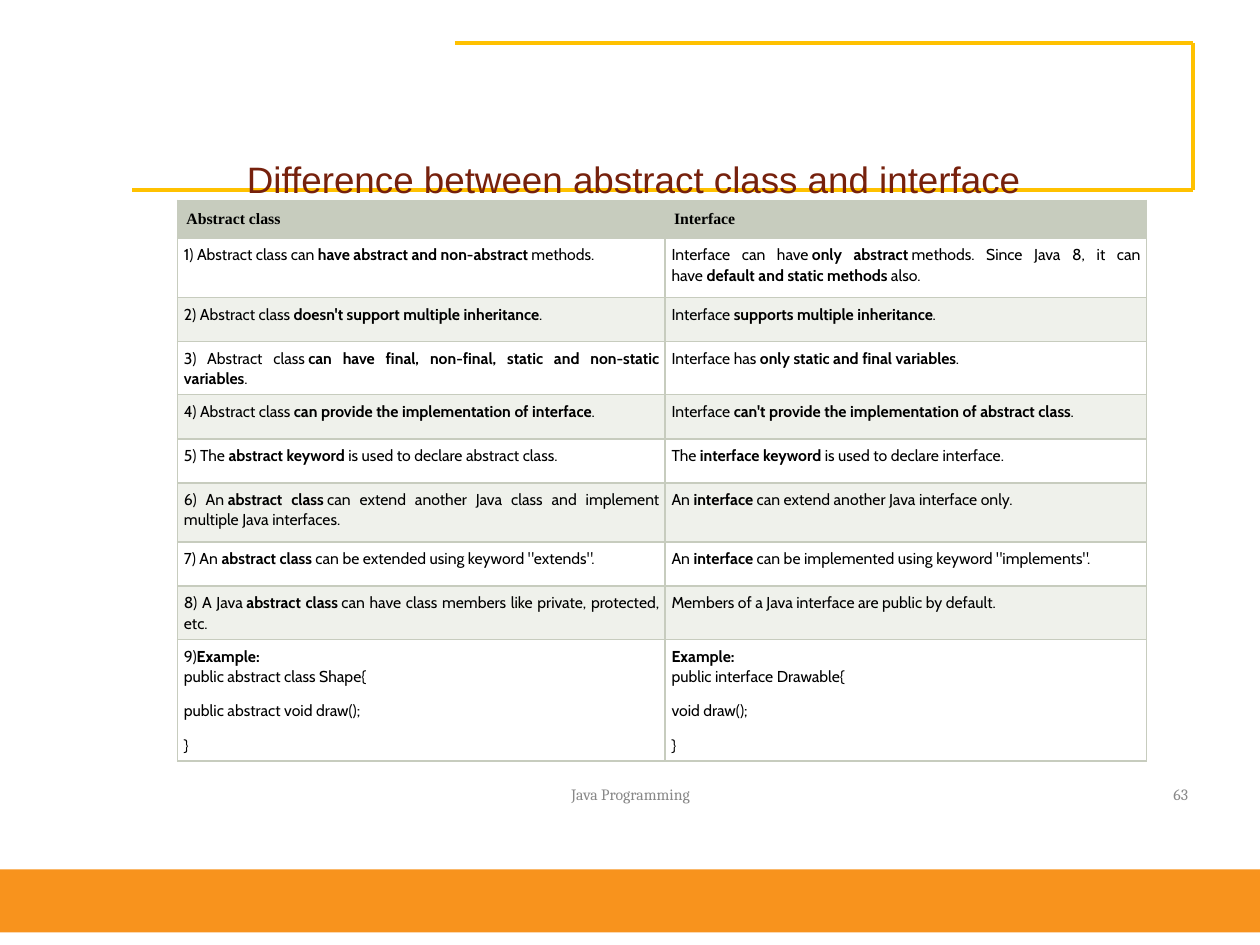
from dataclasses import dataclass

from lxml.etree import SubElement
from pptx import Presentation
from pptx.dml.color import RGBColor
from pptx.enum.shapes import MSO_CONNECTOR, MSO_SHAPE
from pptx.enum.text import MSO_ANCHOR, MSO_AUTO_SIZE, PP_ALIGN
from pptx.oxml.ns import qn
from pptx.util import Inches, Pt


@dataclass(frozen=True)
class Theme:
    gold: str = "FFC100"
    orange: str = "F8931D"
    maroon: str = "76210D"
    grey: str = "888888"
    ink: str = "000000"
    sage: str = "C7CCBE"
    bands: tuple = ("FFFFFF", "EFF1EB")
    title_size: float = 21
    small_size: float = 9
    rule_width: float = 2
    border_width: float = 1
    line_spacing: float = 1.07
    code_gap: float = 8


@dataclass(frozen=True)
class Style:
    font: str
    size: float
    color: str
    bold: bool = False


@dataclass(frozen=True)
class Label:
    text: str
    box: tuple  # left, top, width, height in percent of the slide
    style: Style
    align: PP_ALIGN
    anchor: MSO_ANCHOR
    grows: bool = False


THEME = Theme()
TITLE = Style("Arial", THEME.title_size, THEME.maroon)
FOOTER = Style("Cambria", THEME.small_size, THEME.grey)
HEADING = Style("Times New Roman", THEME.small_size, THEME.ink, True)
BODY = Style("Cabin", THEME.small_size, THEME.ink)

WIDTH, HEIGHT = Inches(10), Inches(7.5)
NBSP = chr(160)

FRAME_CORNERS = [(36.1, 4.53), (94.7, 4.53), (94.7, 20.13), (10.5, 20.13)]
FOOTER_BAND = (0, 92, 100, 6.67)
LABELS = [
    Label("Java Programming", (34.2, 82, 31.7, 4), FOOTER,
          PP_ALIGN.CENTER, MSO_ANCHOR.MIDDLE),
    Label("63", (71.7, 82, 23.3, 4), FOOTER,
          PP_ALIGN.RIGHT, MSO_ANCHOR.MIDDLE),
    Label("Difference between abstract class and interface",
          (18.9, 16, 69, 5.73), TITLE, PP_ALIGN.LEFT, MSO_ANCHOR.TOP, True),
]

TABLE_ORIGIN = (14.1, 21.2)
COLUMN_SHARES = (38.7, 38.2)
HEADER_SHARE, ONE_LINE, TIGHT, TWO_LINES, CODE = 3.87, 4.67, 5.33, 6.27, 11.87
HEADINGS = ("Abstract class", "Interface")

# Asterisks enclose bold words, a bar starts a new paragraph
COMPARISON = [
    (TWO_LINES, "1) Abstract class can *have abstract and non-abstract* methods.",
     "Interface can have *only abstract* methods. Since Java 8, it can have "
     "*default and static methods* also."),
    (ONE_LINE, "2) Abstract class *doesn't support multiple inheritance*.",
     "Interface *supports multiple inheritance*."),
    (TIGHT, "3) Abstract class *can have final, non-final, static and "
     "non-static variables*.",
     "Interface has *only static and final variables*."),
    (ONE_LINE, "4) Abstract class *can provide the implementation of interface*.",
     "Interface *can't provide the implementation of abstract class*."),
    (ONE_LINE, "5) The *abstract keyword* is used to declare abstract class.",
     "The *interface keyword* is used to declare interface."),
    (TWO_LINES, "6) An *abstract class* can extend another Java class and "
     "implement multiple Java interfaces.",
     "An *interface* can extend another Java interface only."),
    (ONE_LINE, '7) An *abstract class* can be extended using keyword "extends".',
     'An *interface* can be implemented using keyword "implements".'),
    (TIGHT, "8) A Java *abstract class* can have class members like private, "
     "protected, etc.",
     "Members of a Java interface are public by default."),
    (CODE, "9)*Example:*\npublic abstract class Shape{"
     "|public abstract void draw();|}",
     "*Example:*\npublic interface Drawable{|void draw();|}"),
]


def across(percent: float) -> int:
    return round(WIDTH * percent / 100)


def down(percent: float) -> int:
    return round(HEIGHT * percent / 100)


def place(box: tuple) -> tuple:
    left, top, width, height = box
    return across(left), down(top), across(width), down(height)


def rgb(color: str) -> RGBColor:
    return RGBColor.from_string(color)


def set_margins(holder, side: float, top: float) -> None:
    holder.margin_left = holder.margin_right = Inches(side)
    holder.margin_top = holder.margin_bottom = Inches(top)


def add_run(paragraph, text: str, style: Style, bold: bool) -> None:
    run = paragraph.add_run()
    run.text = text
    run.font.name, run.font.size = style.font, Pt(style.size)
    run.font.color.rgb = rgb(style.color)
    run.font.bold = bold


def add_marked_text(paragraph, marked: str, style: Style) -> None:
    """Bold every second part; spaces beside bold words do not stretch."""
    parts = marked.split("*")
    for index, part in enumerate(parts):
        if index > 0 and part.startswith(" "):
            part = NBSP + part[1:]
        if index < len(parts) - 1 and part.endswith(" "):
            part = part[:-1] + NBSP
        if part.startswith("\n"):
            paragraph.add_line_break()
            part = part[1:]
        if part:
            add_run(paragraph, part, style, style.bold or index % 2 == 1)


def add_rule(shapes, start: tuple, end: tuple) -> None:
    rule = shapes.add_connector(MSO_CONNECTOR.STRAIGHT, across(start[0]),
                                down(start[1]), across(end[0]), down(end[1]))
    rule.line.color.rgb = rgb(THEME.gold)
    rule.line.width = Pt(THEME.rule_width)
    SubElement(rule._element.spPr, qn("a:effectLst"))


def add_label(shapes, label: Label) -> None:
    frame = shapes.add_textbox(*place(label.box)).text_frame
    frame.word_wrap = True
    frame.vertical_anchor = label.anchor
    if label.grows:
        frame.auto_size = MSO_AUTO_SIZE.SHAPE_TO_FIT_TEXT
    set_margins(frame, 0.07, 0.04)
    frame.paragraphs[0].alignment = label.align
    add_run(frame.paragraphs[0], label.text, label.style, label.style.bold)


def fill_cell(cell, marked: str, style: Style, fill: str, margin: float) -> None:
    set_margins(cell, margin, margin)
    for index, text in enumerate(marked.split("|")):
        frame = cell.text_frame
        paragraph = frame.add_paragraph() if index else frame.paragraphs[0]
        ragged = style is HEADING or "\n" in text
        paragraph.alignment = PP_ALIGN.LEFT if ragged else PP_ALIGN.JUSTIFY
        paragraph.line_spacing = THEME.line_spacing
        if index:
            paragraph.space_before = Pt(THEME.code_gap)
        add_marked_text(paragraph, text, style)
    # Borders precede the fill in the cell properties
    properties = cell._tc.get_or_add_tcPr()
    for edge in ("a:lnL", "a:lnR", "a:lnT", "a:lnB"):
        line = SubElement(properties, qn(edge), w=str(Pt(THEME.border_width)))
        solid = SubElement(line, qn("a:solidFill"))
        SubElement(solid, qn("a:srgbClr"), val=THEME.sage)
    cell.fill.solid()
    cell.fill.fore_color.rgb = rgb(fill)


def add_comparison(shapes) -> None:
    heights = [HEADER_SHARE] + [row[0] for row in COMPARISON]
    box = (*TABLE_ORIGIN, sum(COLUMN_SHARES), sum(heights))
    table = shapes.add_table(len(heights), len(COLUMN_SHARES), *place(box)).table
    for column, share in zip(table.columns, COLUMN_SHARES):
        column.width = across(share)
    for row, share in zip(table.rows, heights):
        row.height = down(share)
    for column, heading in enumerate(HEADINGS):
        fill_cell(table.cell(0, column), heading, HEADING, THEME.sage, 0.07)
    for index, (_, *texts) in enumerate(COMPARISON):
        for column, text in enumerate(texts):
            fill_cell(table.cell(index + 1, column), text, BODY,
                      THEME.bands[index % 2], 0.05)


def main() -> None:
    deck = Presentation()
    deck.slide_width, deck.slide_height = WIDTH, HEIGHT
    shapes = deck.slides.add_slide(deck.slide_layouts[6]).shapes

    # Open frame around the title
    for start, end in zip(FRAME_CORNERS, FRAME_CORNERS[1:]):
        add_rule(shapes, start, end)

    # Band at the foot
    band = shapes.add_shape(MSO_SHAPE.RECTANGLE, *place(FOOTER_BAND))
    band.shadow.inherit = False
    band.fill.solid()
    band.fill.fore_color.rgb = rgb(THEME.orange)
    band.line.fill.background()

    # Footer, title and table
    for label in LABELS:
        add_label(shapes, label)
    add_comparison(shapes)
    deck.save("out.pptx")


if __name__ == "__main__":
    main()
